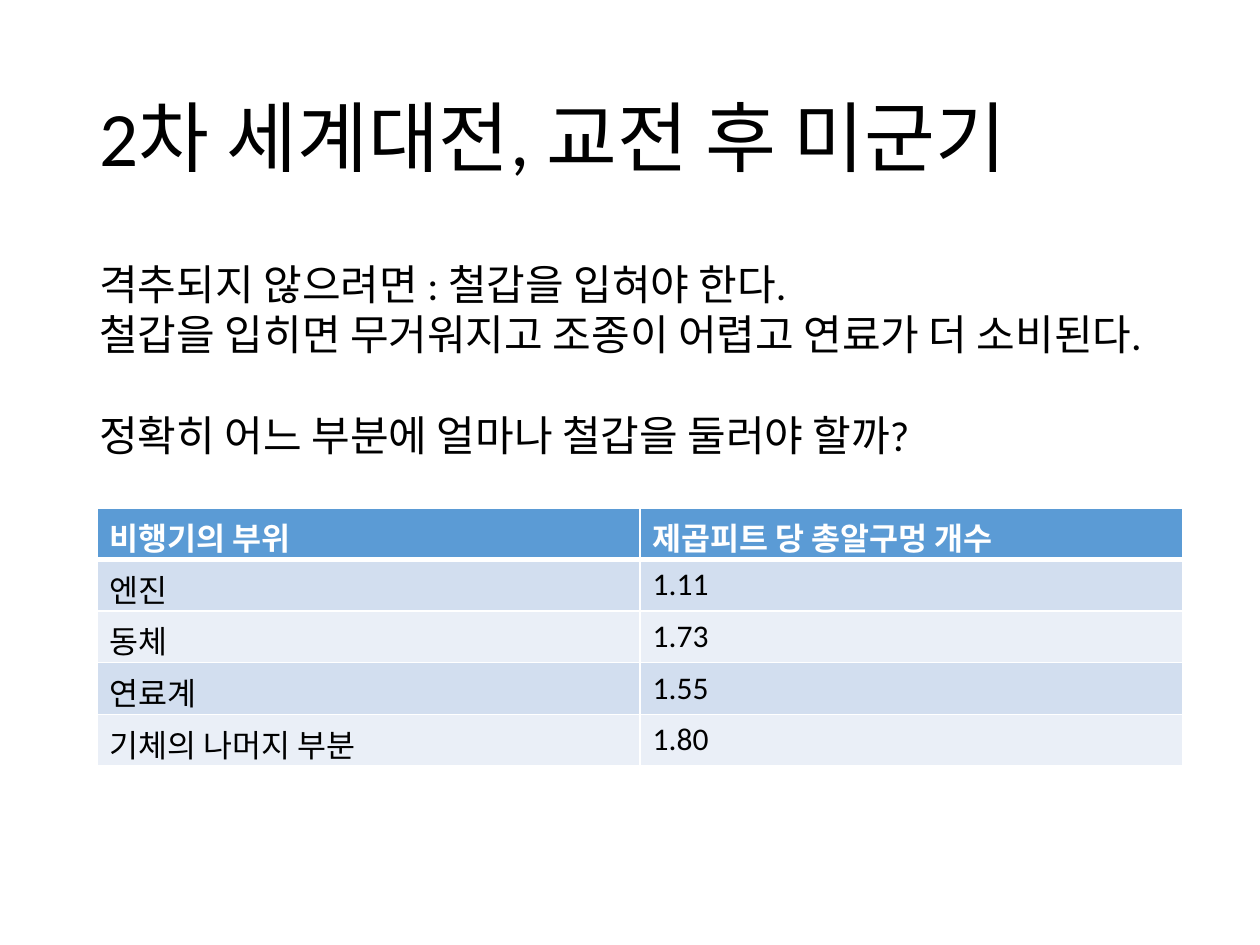
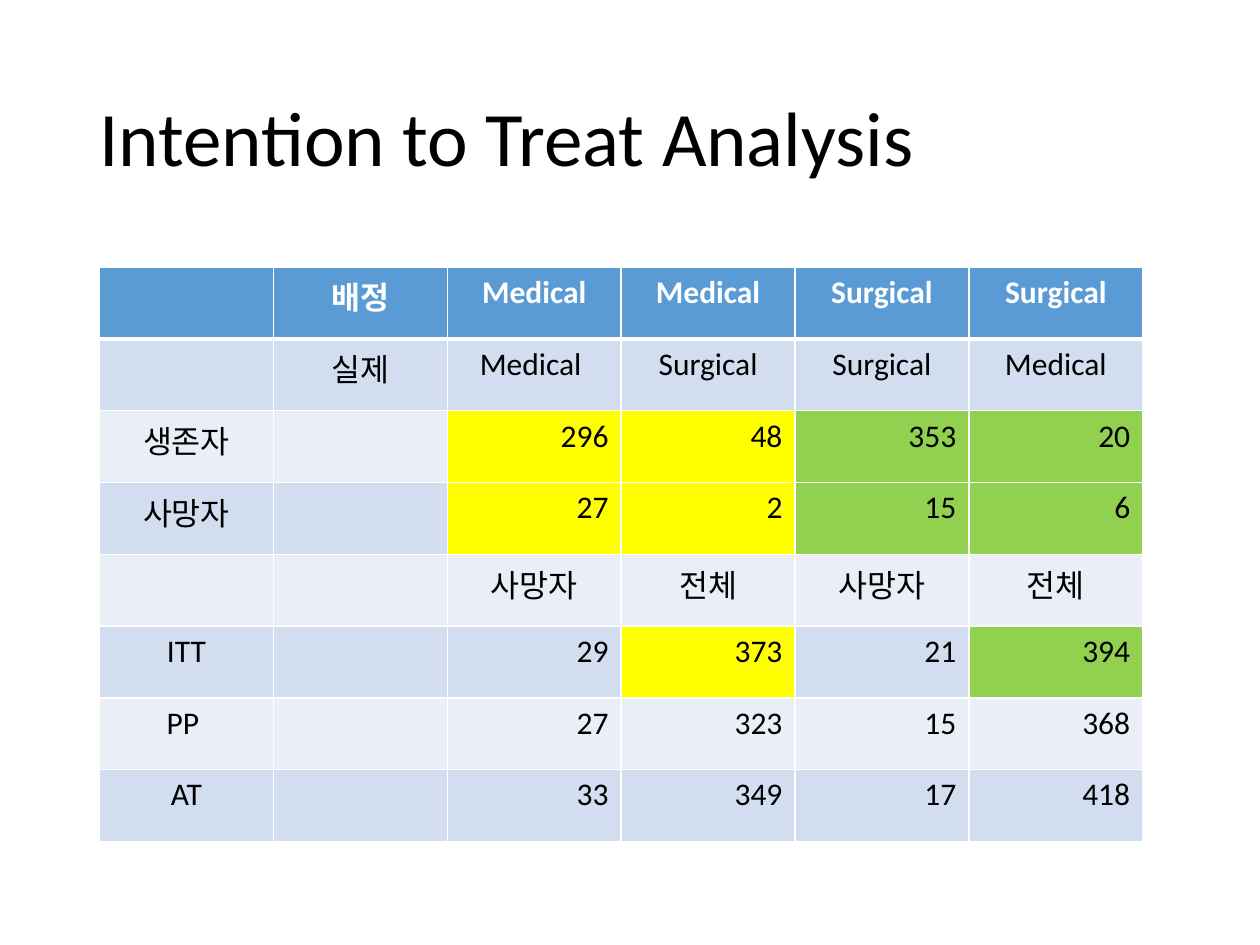
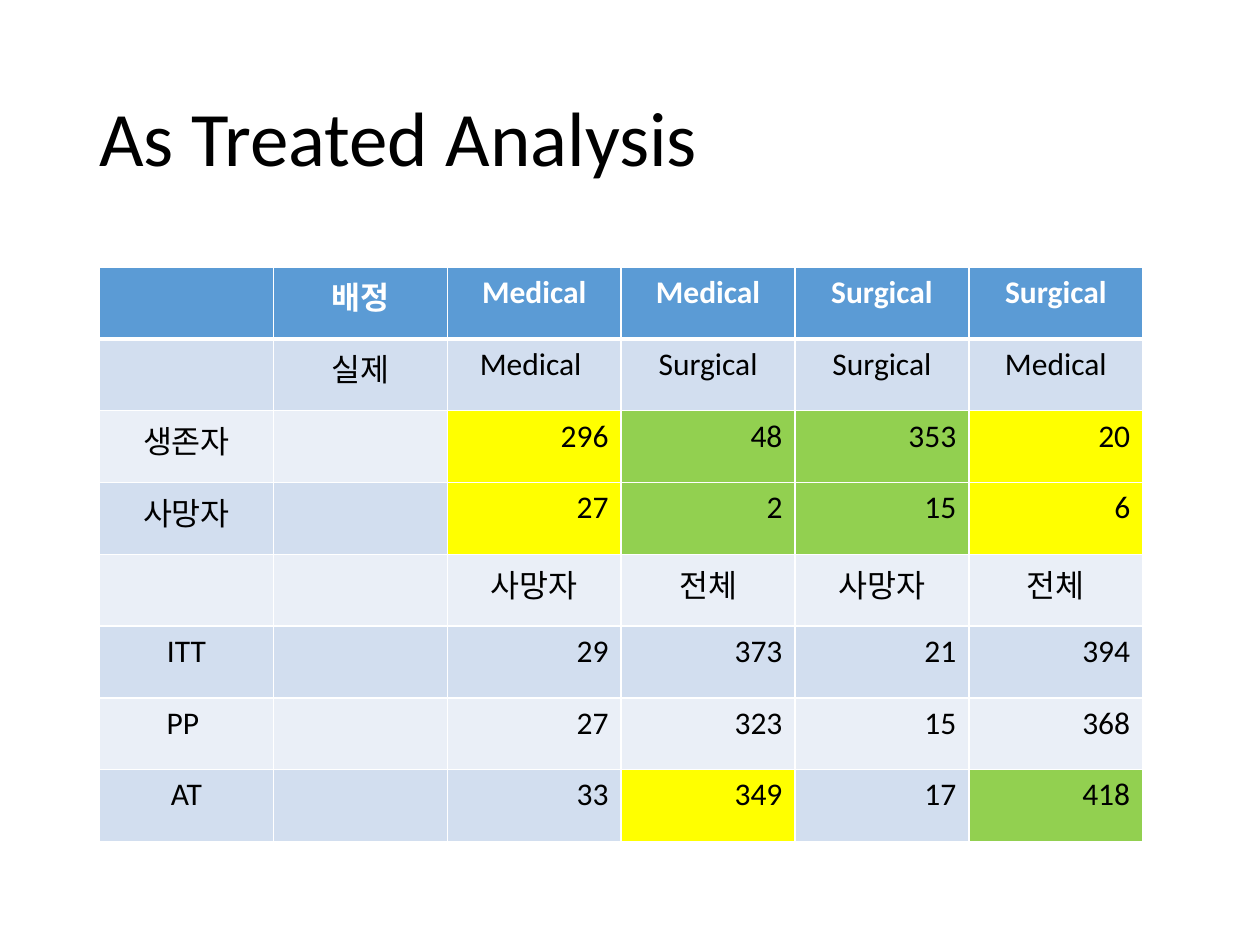
from dataclasses import dataclass

from lxml.etree import SubElement
from pptx import Presentation
from pptx.dml.color import RGBColor
from pptx.enum.text import MSO_ANCHOR, MSO_AUTO_SIZE, PP_ALIGN
from pptx.oxml.ns import qn
from pptx.util import Inches, Pt


@dataclass(frozen=True)
class Theme:
    font: str = "Calibri"
    ink: str = "000000"
    white: str = "FFFFFF"
    header: str = "5B9BD5"
    bands: tuple = ("D2DEEF", "EAEFF7")
    medical: str = "FFFF00"
    surgical: str = "92D050"
    title_size: int = 44
    body_size: int = 24
    table_size: int = 18
    line_width: int = 1
    header_line_width: int = 3


HOLES = [
    ("비행기의 부위", "제곱피트 당 총알구멍 개수"),
    ("엔진", "1.11"),
    ("동체", "1.73"),
    ("연료계", "1.55"),
    ("기체의 나머지 부분", "1.80"),
]
TRIAL = [
    ("", "배정", "Medical", "Medical", "Surgical", "Surgical"),
    ("", "실제", "Medical ", "Surgical", "Surgical", "Medical"),
    ("생존자", "", " 296", "48", "353", "20"),
    ("사망자", "", "27", "2", "15", "6"),
    ("", "", "사망자", "전체", "사망자", "전체"),
    ("ITT", "", "29", "373", "21", "394"),
    ("PP ", "", "27", "323", "15", "368"),
    ("AT", "", "33", "349", "17", "418"),
]
OUTCOME_ROWS = (2, 3)
FIRST_GROUP_COL = 2
TOTAL_COLS = (3, 5)


def align_left(text):
    return PP_ALIGN.LEFT


def align_by_content(text):
    return PP_ALIGN.RIGHT if text.strip().isdigit() else PP_ALIGN.CENTER


class Deck:
    def __init__(self, theme):
        self.theme = theme
        self.prs = Presentation()
        self.prs.slide_width, self.prs.slide_height = Inches(10), Inches(7.5)
        self.s = None

    def slide(self, title):
        self.s = self.prs.slides.add_slide(self.prs.slide_layouts[6])
        tf = self.text_box(0.69, 0.4, 8.62, 1.45)
        tf.vertical_anchor = MSO_ANCHOR.MIDDLE
        p = tf.paragraphs[0]
        p.text, p.line_spacing = title, 0.9
        self.style(p, self.theme.title_size)

    def text_box(self, x, y, w, h):
        box = self.s.shapes.add_textbox(Inches(x), Inches(y), Inches(w), Inches(h))
        box.text_frame.word_wrap = True
        return box.text_frame

    def style(self, p, size, color=None, bold=False):
        font = p.font
        font.name, font.size, font.bold = self.theme.font, Pt(size), bold
        font.color.rgb = RGBColor.from_string(color or self.theme.ink)

    def body(self, x, y, w, h, lines):
        """Write (text, space before in points) pairs as paragraphs."""
        tf = self.text_box(x, y, w, h)
        tf.auto_size = MSO_AUTO_SIZE.SHAPE_TO_FIT_TEXT
        for i, (text, gap) in enumerate(lines):
            p = tf.add_paragraph() if i else tf.paragraphs[0]
            p.text = text
            if gap:
                p.space_before = Pt(gap)
            self.style(p, self.theme.body_size)

    def table(self, x, y, col_w, row_h, rows, align, highlights=None):
        """Draw a banded table; highlights maps (row, column) to a fill."""
        t, highlights = self.theme, highlights or {}
        n_rows, n_cols = len(rows), len(rows[0])
        table = self.s.shapes.add_table(
            n_rows, n_cols, Inches(x), Inches(y),
            Inches(col_w * n_cols), Inches(row_h * n_rows)).table
        for column in table.columns:
            column.width = Inches(col_w)
        for r, texts in enumerate(rows):
            table.rows[r].height = Inches(row_h)
            is_header = r == 0
            band = t.header if is_header else t.bands[(r - 1) % 2]
            for c, text in enumerate(texts):
                cell = table.cell(r, c)
                self.borders(cell, r)
                cell.fill.solid()
                cell.fill.fore_color.rgb = RGBColor.from_string(
                    highlights.get((r, c), band))
                p = cell.text_frame.paragraphs[0]
                p.text, p.alignment = text, align(text)
                self.style(p, t.table_size, t.white if is_header else t.ink, is_header)

    def borders(self, cell, row):
        """Add white borders, thicker between the header and the first row."""
        t = self.theme
        tc_pr = cell._tc.get_or_add_tcPr()
        for side in ("L", "R", "T", "B"):
            thick = (row, side) in ((0, "B"), (1, "T"))
            width = t.header_line_width if thick else t.line_width
            ln = SubElement(tc_pr, qn(f"a:ln{side}"), w=str(Pt(width)))
            fill = SubElement(ln, qn("a:solidFill"))
            SubElement(fill, qn("a:srgbClr"), val=t.white)

    def trial_slide(self, title, group_fills, total_row):
        """Show the trial table, coloured by the way patients are grouped."""
        t = self.theme
        self.slide(title)
        highlights = {(r, c): fill for r in OUTCOME_ROWS
                      for c, fill in enumerate(group_fills, FIRST_GROUP_COL)}
        for c, fill in zip(TOTAL_COLS, (t.medical, t.surgical)):
            highlights[total_row, c] = fill
        self.table(0.79, 2.12, 1.38, 0.57, TRIAL, align_by_content, highlights)


def main():
    theme = Theme()
    deck = Deck(theme)
    medical, surgical = theme.medical, theme.surgical

    deck.slide("2차 세계대전, 교전 후 미군기")
    deck.table(0.77, 4.03, 4.31, 0.41, HOLES, align_left)
    deck.body(0.69, 2, 9.19, 1.72, [
        ("격추되지 않으려면 : 철갑을 입혀야 한다.", 0),
        ("철갑을 입히면 무거워지고 조종이 어렵고 연료가 더 소비된다.", 0),
        ("정확히 어느 부분에 얼마나 철갑을 둘러야 할까?", 29),
    ])

    deck.trial_slide("Intention to Treat Analysis",
                     (medical, medical, surgical, surgical), total_row=5)
    deck.trial_slide("As Treated Analysis",
                     (medical, surgical, surgical, medical), total_row=7)

    deck.prs.save("out.pptx")


if __name__ == "__main__":
    main()
